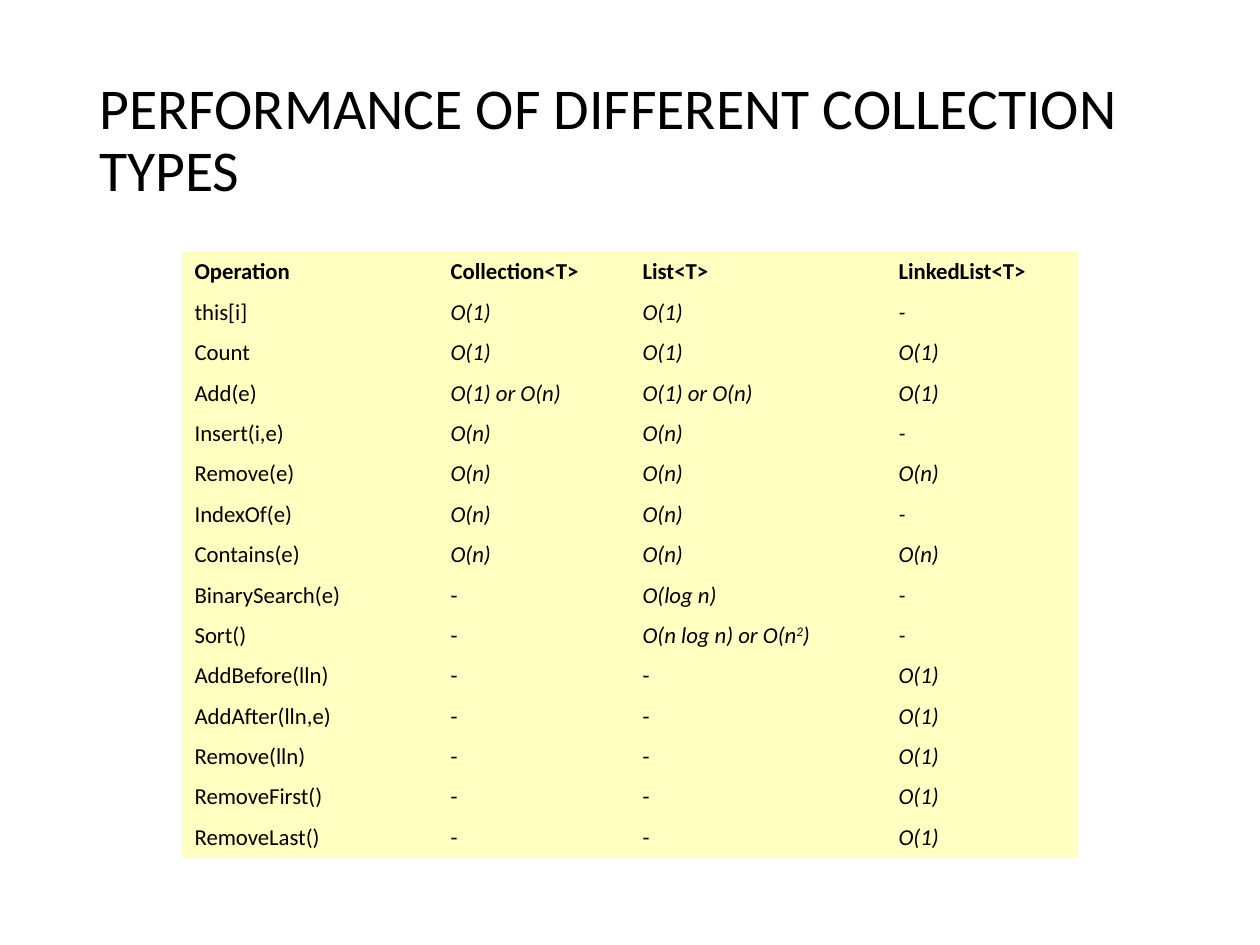
from pptx import Presentation
from pptx.dml.color import RGBColor
from pptx.enum.text import MSO_ANCHOR, MSO_AUTO_SIZE, PP_ALIGN
from pptx.oxml.ns import qn
from pptx.util import Pt

MIDDLE = MSO_ANCHOR.MIDDLE
LEFT = PP_ALIGN.LEFT
NO_AUTOFIT = MSO_AUTO_SIZE.NONE

TITLE = "PERFORMANCE OF DIFFERENT COLLECTION TYPES"
HEADER = ("Operation", "Collection<T>", "List<T>", "LinkedList<T>")
OPERATIONS = [
    ("this[i]", "O(1)", "O(1)", "-"),
    ("Count", "O(1)", "O(1)", "O(1)"),
    ("Add(e)", "O(1) or O(n)", "O(1) or O(n)", "O(1)"),
    ("Insert(i,e)", "O(n)", "O(n)", "-"),
    ("Remove(e)", "O(n)", "O(n)", "O(n)"),
    ("IndexOf(e)", "O(n)", "O(n)", "-"),
    ("Contains(e)", "O(n)", "O(n)", "O(n)"),
    ("BinarySearch(e)", "-", "O(log n)", "-"),
    ("Sort()", "-", "O(n log n) or O(n^2^)", "-"),
    ("AddBefore(lln)", "-", "-", "O(1)"),
    ("AddAfter(lln,e)", "-", "-", "O(1)"),
    ("Remove(lln)", "-", "-", "O(1)"),
    ("RemoveFirst()", "-", "-", "O(1)"),
    ("RemoveLast()", "-", "-", "O(1)"),
]

COLORS = {"text": "000000", "cell": "FFFFC1"}
FONT = "Calibri"
TITLE_SIZE, CELL_SIZE = 33, 13
TITLE_BOX = (49.5, 28.8, 621, 104.4)
TABLE_LEFT, TABLE_TOP = 104, 144
COLUMN_WIDTHS = (146.3, 109.7, 146.3, 109.7)
ROW_HEIGHT = 22.86
PLAIN_STYLE = "{2D5ABB26-0587-4C30-8999-92F81FD0307C}"


def format_font(font, size, bold=False, italic=False):
    """Apply the shared typeface and colour with the given emphasis."""
    font.name = FONT
    font.size = Pt(size)
    font.bold = bold
    font.italic = italic
    font.color.rgb = RGBColor.from_string(COLORS["text"])


def add_title(slide):
    """Place and format the title placeholder."""
    title = slide.shapes.title
    title.left, title.top, title.width, title.height = map(Pt, TITLE_BOX)
    frame = title.text_frame
    frame.text = TITLE
    frame.word_wrap = True
    frame.auto_size = NO_AUTOFIT
    frame.vertical_anchor = MIDDLE
    paragraph = frame.paragraphs[0]
    paragraph.alignment = LEFT
    paragraph.line_spacing = 0.9
    format_font(paragraph.runs[0].font, TITLE_SIZE)


def fill_cell(cell, text, bold, italic):
    """Write a cell, raising the text between carets."""
    cell.fill.solid()
    cell.fill.fore_color.rgb = RGBColor.from_string(COLORS["cell"])
    cell.vertical_anchor = MIDDLE
    paragraph = cell.text_frame.paragraphs[0]
    for index, part in enumerate(text.split("^")):
        run = paragraph.add_run()
        run.text = part
        format_font(run.font, CELL_SIZE, bold, italic)
        if index % 2:
            run.font._element.set("baseline", "30000")


def add_performance_table(slide):
    """Build the table, with italics from the first cost in each row onward."""
    rows = [HEADER, *OPERATIONS]
    frame = slide.shapes.add_table(
        len(rows), len(HEADER), Pt(TABLE_LEFT), Pt(TABLE_TOP),
        Pt(sum(COLUMN_WIDTHS)), Pt(ROW_HEIGHT * len(rows)))
    table = frame.table
    table.first_row = table.horz_banding = False
    next(frame.element.iter(qn("a:tableStyleId"))).text = PLAIN_STYLE
    for column, width in zip(table.columns, COLUMN_WIDTHS):
        column.width = Pt(width)
    for row_index, (row, texts) in enumerate(zip(table.rows, rows)):
        row.height = Pt(ROW_HEIGHT)
        italic = False
        for cell, text in zip(row.cells, texts):
            italic = italic or text.startswith("O(")
            fill_cell(cell, text, row_index == 0, italic)


def main():
    """Create and save the presentation."""
    presentation = Presentation()
    presentation.slide_width, presentation.slide_height = Pt(720), Pt(540)
    slide = presentation.slides.add_slide(presentation.slide_layouts[5])
    add_title(slide)
    add_performance_table(slide)
    presentation.save("out.pptx")


if __name__ == "__main__":
    main()
